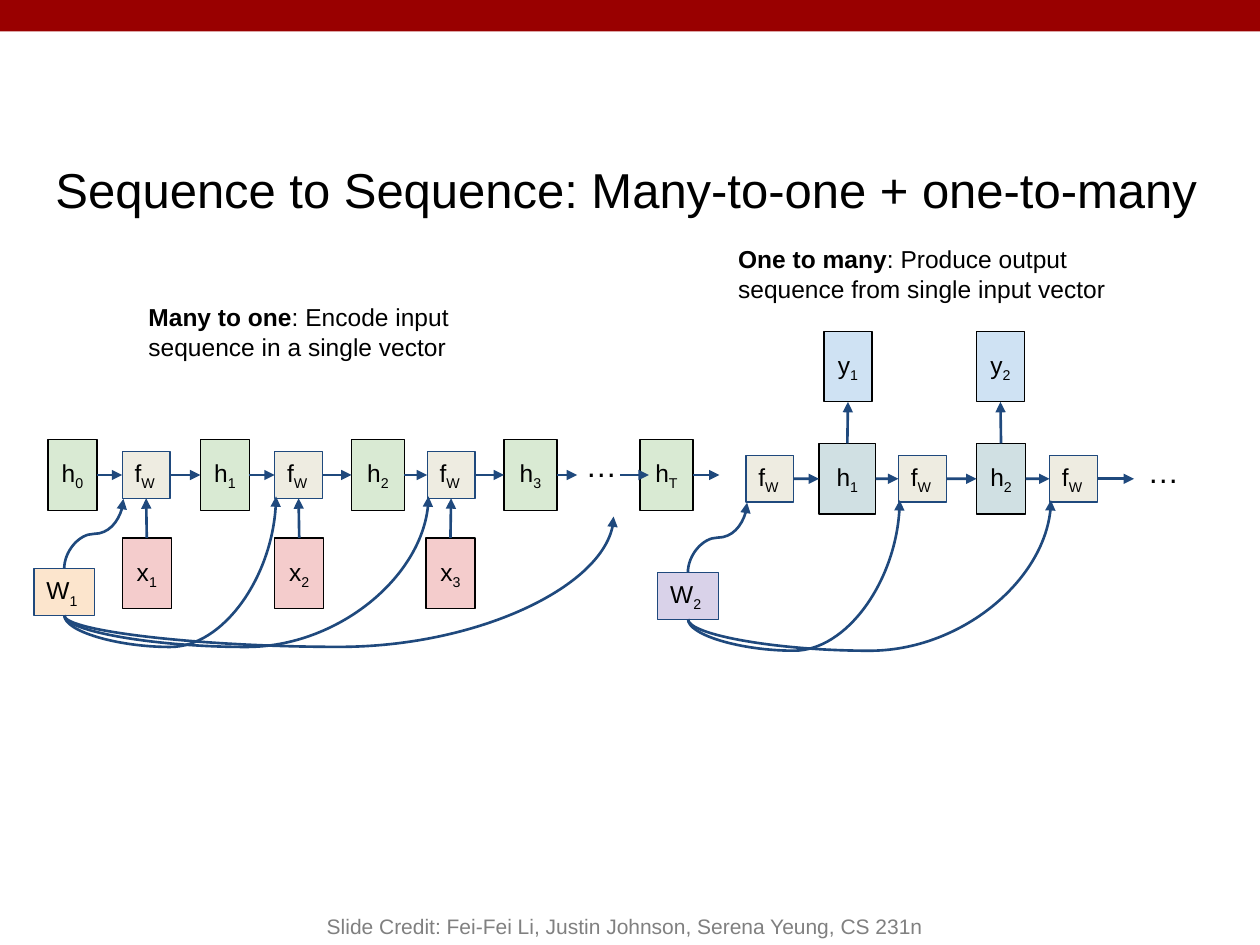
from dataclasses import dataclass
from itertools import pairwise

from lxml import etree
from pptx import Presentation
from pptx.dml.color import RGBColor
from pptx.enum import shapes, text
from pptx.oxml.ns import qn
from pptx.util import Inches, Pt


@dataclass(frozen=True)
class Theme:
    font: str = "Arial"
    bar: str = "990000"
    ink: str = "000000"
    muted: str = "808080"
    arrow: str = "1F497D"
    title_size: int = 28
    dots_size: int = 18
    body_size: int = 14
    credit_size: int = 12
    outline: float = 0.75
    arrow_width: float = 1.5


THEME = Theme()
TOP, RIGHT, BOTTOM, LEFT = 0, 3, 2, 1
SAG = 0.25  # how far the long weight curves dip below their box

# kind: (fill, outline, height, centred text)
KINDS = {
    "encoder": ("D9EAD3", THEME.ink, 0.56, True),
    "decoder": ("D0E0E3", THEME.ink, 0.56, True),
    "input": ("F4CCCC", THEME.ink, 0.56, True),
    "output": ("CFE2F3", THEME.ink, 0.56, True),
    "cell": ("EEECE1", THEME.arrow, 0.37, False),
    "weight_1": ("FCE5CD", THEME.arrow, 0.37, False),
    "weight_2": ("D9D2E9", THEME.arrow, 0.37, False),
}

TITLE = "Sequence to Sequence: Many-to-one + one-to-many"
CREDIT = "Slide Credit: Fei-Fei Li, Justin Johnson, Serena Yeung, CS 231n"
CAPTIONS = [
    ("Many to one", ": Encode input sequence in a single vector", 1.08, 2.3),
    ("One to many", ": Produce output sequence from single input vector", 5.76, 1.84),
]
DOTS = [(4.55, 3.44), (9.01, 3.49)]

# nodes: (kind, letter, subscript, left, width)
ENCODER = {
    "axis": 3.77,
    "chain": [
        ("encoder", "h", "0", 0.38, 0.39), ("cell", "f", "W", 0.97, 0.38),
        ("encoder", "h", "1", 1.59, 0.39), ("cell", "f", "W", 2.18, 0.38),
        ("encoder", "h", "2", 2.79, 0.42), ("cell", "f", "W", 3.39, 0.38),
        ("encoder", "h", "3", 4, 0.42),
    ],
    "exit": 4.58,
    "weight": ("weight_1", "W", "1", 0.27, 0.48),
    "extra_curve_ends": [(4.87, 4.1)],
}
DECODER = {
    "axis": 3.8,
    "chain": [
        ("cell", "f", "W", 5.92, 0.38), ("decoder", "h", "1", 6.5, 0.45),
        ("cell", "f", "W", 7.13, 0.38), ("decoder", "h", "2", 7.75, 0.39),
        ("cell", "f", "W", 8.33, 0.38),
    ],
    "exit": 9,
    "weight": ("weight_2", "W", "2", 5.22, 0.48),
    "extra_curve_ends": [],
}
INPUTS = [("input", "x", "1", 0.97, 0.39), ("input", "x", "2", 2.18, 0.39),
          ("input", "x", "3", 3.38, 0.39)]
OUTPUTS = [("output", "y", "1", 6.54, 0.38), ("output", "y", "2", 7.75, 0.38)]
FINAL_STATE = ("encoder", "h", "T", 5.08, 0.42)
INPUT_AXIS, OUTPUT_AXIS, WEIGHT_DROP = 4.55, 2.91, 0.93


def color(value):
    return RGBColor.from_string(value)


def set_frame(frame, anchor, inset=0.1):
    frame.word_wrap = True
    frame.auto_size = text.MSO_AUTO_SIZE.NONE
    frame.vertical_anchor = anchor
    if inset is not None:
        frame.margin_left = frame.margin_right = Inches(inset)
        frame.margin_top = frame.margin_bottom = Inches(inset)


def set_paragraph(paragraph, size, ink=THEME.ink, align=text.PP_ALIGN.LEFT):
    paragraph.alignment = align
    font = paragraph.font
    font.name, font.size = THEME.font, Pt(size)
    font.color.rgb = color(ink)


def add_label(slide, parts, box, size, ink=THEME.ink, align=text.PP_ALIGN.LEFT,
              anchor=text.MSO_ANCHOR.TOP, inset=0.1):
    """Text box with one paragraph; returns its runs."""
    frame = slide.shapes.add_textbox(*map(Inches, box)).text_frame
    set_frame(frame, anchor, inset)
    paragraph = frame.paragraphs[0]
    set_paragraph(paragraph, size, ink, align)
    for part in parts:
        paragraph.add_run().text = part
    return paragraph.runs


def add_rect(slide, box, fill, outline=None):
    rect = slide.shapes.add_shape(shapes.MSO_SHAPE.RECTANGLE, *map(Inches, box))
    rect.shadow.inherit = False
    rect.fill.solid()
    rect.fill.fore_color.rgb = color(fill)
    if outline:
        rect.line.color.rgb = color(outline)
        rect.line.width = Pt(THEME.outline)
    else:
        rect.line.fill.background()
    return rect


def add_node(slide, node, axis):
    """Box centred vertically on axis, labelled with a letter and subscript."""
    kind, letter, subscript, left, width = node
    fill, outline, height, centred = KINDS[kind]
    rect = add_rect(slide, (left, axis - height / 2, width, height), fill, outline)
    set_frame(rect.text_frame, text.MSO_ANCHOR.MIDDLE)
    paragraph = rect.text_frame.paragraphs[0]
    align = text.PP_ALIGN.CENTER if centred else text.PP_ALIGN.LEFT
    set_paragraph(paragraph, THEME.body_size, align=align)
    paragraph.add_run().text = letter
    lowered = paragraph.add_run()
    lowered.text = subscript
    lowered._r.get_or_add_rPr().set("baseline", "-25000")
    return rect


def add_arrow(slide, start, end, kind=shapes.MSO_CONNECTOR.STRAIGHT):
    arrow = slide.shapes.add_connector(kind, *map(Inches, (*start, *end)))
    arrow.line.color.rgb = color(THEME.arrow)
    arrow.line.width = Pt(THEME.arrow_width)
    etree.SubElement(arrow.line._get_or_add_ln(), qn("a:tailEnd"), type="triangle")
    etree.SubElement(arrow._element.spPr, qn("a:effectLst"))
    return arrow


def join(slide, source, source_side, target, target_side):
    arrow = add_arrow(slide, (0, 0), (1, 1))
    arrow.begin_connect(source, source_side)
    arrow.end_connect(target, target_side)


def add_curve(slide, start, end, sag=0):
    """Curve that leaves start vertically, dipping by sag before it rises to end."""
    (x1, y1), (x2, y2) = start, end
    rise, run = y1 - y2, x2 - x1
    mid_x, mid_y = (x1 + x2) / 2, (y1 + y2) / 2
    # A quarter turn of a flipped connector swaps its width and height.
    curve = add_arrow(slide, (mid_x + rise / 2, mid_y + run / 2),
                      (mid_x - rise / 2, mid_y - run / 2), shapes.MSO_CONNECTOR.CURVE)
    curve._element.spPr.find(qn("a:xfrm")).set("rot", "5400000")
    bend = -sag / rise if sag else 0.5
    guides = curve._element.spPr.find(qn("a:prstGeom")).find(qn("a:avLst"))
    etree.SubElement(guides, qn("a:gd"), name="adj1", fmla=f"val {round(bend * 100000)}")


def add_network(slide, network):
    """Draws a chain with its weight curves; returns the chain's boxes."""
    axis, chain = network["axis"], network["chain"]
    boxes = [add_node(slide, node, axis) for node in chain]
    for source, target in pairwise(boxes):
        join(slide, source, RIGHT, target, LEFT)
    last_right = chain[-1][3] + chain[-1][4]
    add_arrow(slide, (last_right, axis), (network["exit"], axis)).begin_connect(
        boxes[-1], RIGHT)

    weight = network["weight"]
    height = KINDS[weight[0]][2]
    weight_axis = axis + WEIGHT_DROP
    add_node(slide, weight, weight_axis)
    weight_x = weight[3] + weight[4] / 2
    first, *others = [node[3] + 0.01 for node in chain if node[0] == "cell"]
    add_curve(slide, (weight_x, weight_axis - height / 2), (first, axis + 0.19))
    ends = [(x, axis + 0.17) for x in others] + network["extra_curve_ends"]
    for end in ends:
        add_curve(slide, (weight_x, weight_axis + height / 2), end, SAG)
    return boxes


def main():
    deck = Presentation()
    deck.slide_width, deck.slide_height = Inches(10), Inches(7.5)
    slide = deck.slides.add_slide(deck.slide_layouts[5])
    add_rect(slide, (0, 0, 10, 0.25), THEME.bar)

    title = slide.shapes.title
    title.left, title.top, title.width, title.height = map(Inches, (0.34, 1.03, 9.29, 0.94))
    title.text_frame.text = TITLE
    set_frame(title.text_frame, text.MSO_ANCHOR.MIDDLE)
    set_paragraph(title.text_frame.paragraphs[0], THEME.title_size)

    for heading, detail, left, top in CAPTIONS:
        runs = add_label(slide, (heading, detail), (left, top, 3.23, 0.72), THEME.body_size)
        runs[0].font.bold = True
    for left, top in DOTS:
        add_label(slide, ("…",), (left, top, 0.62, 0.66), THEME.dots_size)
    add_label(slide, (CREDIT,), (2, 7, 5.92, 0.5), THEME.credit_size, THEME.muted,
              text.PP_ALIGN.CENTER, text.MSO_ANCHOR.BOTTOM, None)

    decoder = add_network(slide, DECODER)
    for node, state in zip(OUTPUTS, decoder[1::2]):
        join(slide, state, TOP, add_node(slide, node, OUTPUT_AXIS), BOTTOM)
    encoder = add_network(slide, ENCODER)
    for node, cell in zip(INPUTS, encoder[1::2]):
        join(slide, add_node(slide, node, INPUT_AXIS), TOP, cell, BOTTOM)

    axis = ENCODER["axis"]
    final_state = add_node(slide, FINAL_STATE, axis)
    add_arrow(slide, (4.92, axis), (5.15, axis))
    add_arrow(slide, (5.5, axis), (5.71, axis)).begin_connect(final_state, RIGHT)
    deck.save("out.pptx")


if __name__ == "__main__":
    main()
